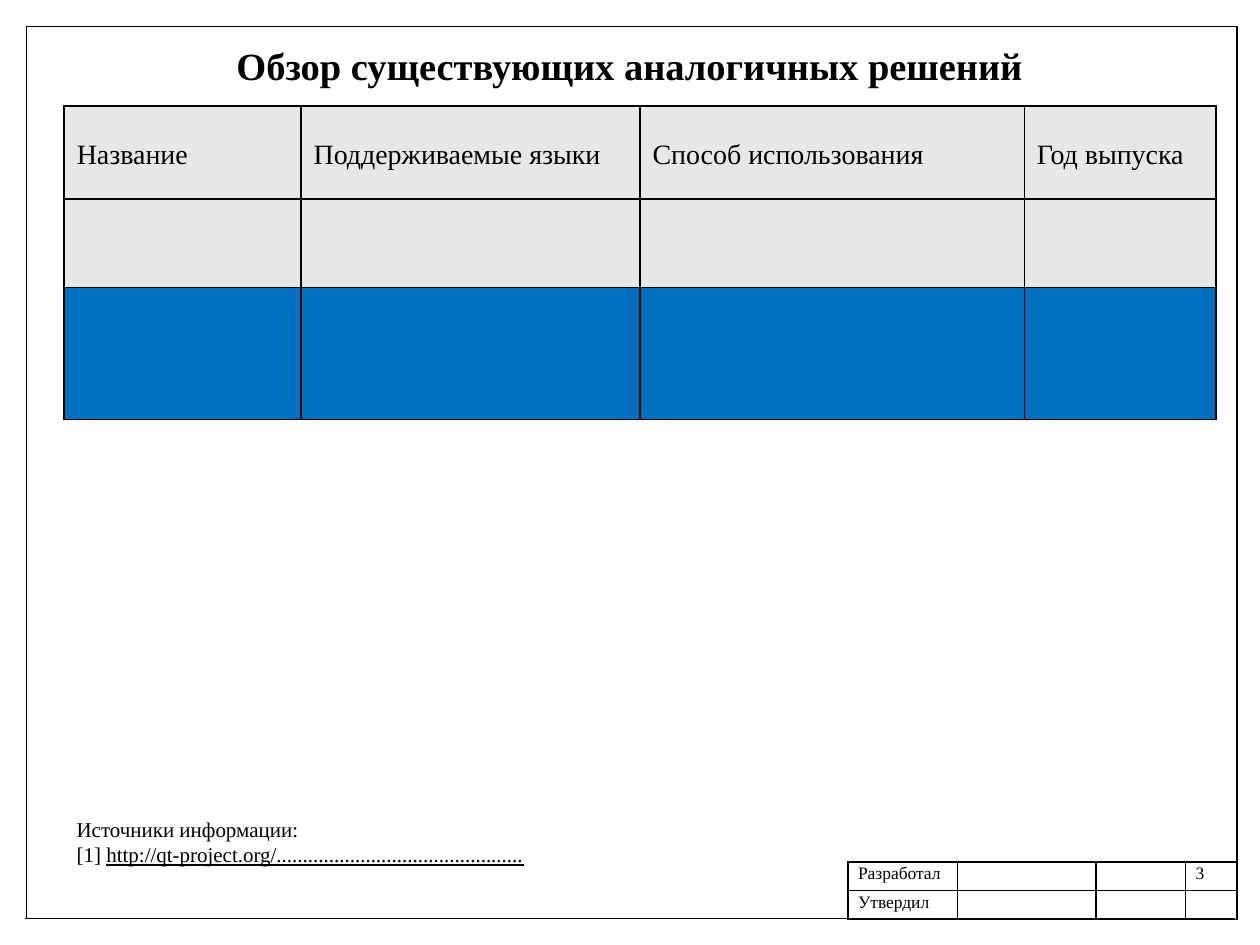
from lxml import etree
from pptx import Presentation
from pptx.dml.color import RGBColor
from pptx.enum.shapes import MSO_CONNECTOR
from pptx.enum.text import MSO_ANCHOR, PP_ALIGN
from pptx.oxml.ns import qn
from pptx.util import Inches, Pt

STRAIGHT = MSO_CONNECTOR.STRAIGHT
MIDDLE, TOP = MSO_ANCHOR.MIDDLE, MSO_ANCHOR.TOP
CENTER, LEFT = PP_ALIGN.CENTER, PP_ALIGN.LEFT
FONT, BLACK, GREY, BLUE = "Times New Roman", "000000", "E7E7E7", "0070C0"

TITLE = "Обзор существующих аналогичных решений"
SOURCES = [
    [("Источники информации:", False)],
    [("[1] ", False), ("http://qt-project.org/" + "." * 47, True)],
]
ANALOGUES = [
    ["Название", "Поддерживаемые языки", "Способ использования", "Год выпуска"],
    [""] * 4,
    [""] * 4,
]
STAMP = [["Разработал", "", "", "3"], ["Утвердил", "", "", ""]]
FRAME = [
    (0.21, 0.21, 0.21, 7.29),
    (9.82, 0.21, 9.82, 7.29),
    (0.21, 0.21, 9.82, 0.21),
    (0.2, 7.29, 9.8, 7.29),
]


def color(value):
    return RGBColor.from_string(value)


def write(paragraph, text, size, bold=False, underline=False, align=LEFT, spacing=None):
    paragraph.alignment = align
    if spacing:
        paragraph.line_spacing = spacing
    if not text:
        etree.SubElement(paragraph._p, qn("a:endParaRPr"), sz=str(size * 100))
        return
    run = paragraph.add_run()
    run.text = text
    font = run.font
    font.name, font.size, font.bold, font.underline = FONT, Pt(size), bold, underline
    font.color.rgb = color(BLACK)


def outline(cell):
    props = cell._tc.get_or_add_tcPr()
    for index, side in enumerate(("a:lnL", "a:lnR", "a:lnT", "a:lnB")):
        border = etree.Element(qn(side), w=str(Pt(1)))
        fill = etree.SubElement(border, qn("a:solidFill"))
        etree.SubElement(fill, qn("a:srgbClr"), val=BLACK)
        props.insert(index, border)


def add_grid(rows, left, top, widths, heights, size, fills, anchor, margins, spacing=None):
    grid = slide.shapes.add_table(
        len(rows), len(widths), Inches(left), Inches(top),
        Inches(sum(widths)), Inches(sum(heights))).table
    for column, width in zip(grid.columns, widths):
        column.width = Inches(width)
    for r, (row, height) in enumerate(zip(rows, heights)):
        grid.rows[r].height = Inches(height)
        for c, text in enumerate(row):
            cell = grid.cell(r, c)
            (cell.margin_left, cell.margin_top,
             cell.margin_right, cell.margin_bottom) = map(Inches, margins)
            cell.vertical_anchor = anchor
            if fills[r]:
                cell.fill.solid()
                cell.fill.fore_color.rgb = color(fills[r])
            else:
                cell.fill.background()
            outline(cell)
            write(cell.text_frame.paragraphs[0], text, size, spacing=spacing)


deck = Presentation()
deck.slide_width, deck.slide_height = Inches(10), Inches(7.5)
slide = deck.slides.add_slide(deck.slide_layouts[5])

heading = slide.shapes.title
heading.left, heading.top, heading.width, heading.height = map(Inches, (0.27, 0.28, 9.45, 0.47))
heading.text_frame.vertical_anchor = TOP
write(heading.text_frame.paragraphs[0], TITLE, 22, bold=True, align=CENTER)

for ends in FRAME:
    edge = slide.shapes.add_connector(STRAIGHT, *map(Inches, ends))
    edge.line.color.rgb = color(BLACK)
    edge.line.width = Pt(1)
    etree.SubElement(edge._element.spPr, qn("a:effectLst"))

add_grid(STAMP, 6.73, 6.84, [0.87, 1.1, 0.71, 0.41], [0.21, 0.21], 10,
         [None, None], TOP, (0.08, 0.02, 0.08, 0.04))

sources = slide.shapes.add_textbox(*map(Inches, (0.51, 6.43, 4.88, 0.5))).text_frame
sources.word_wrap = True
for index, parts in enumerate(SOURCES):
    paragraph = sources.add_paragraph() if index else sources.paragraphs[0]
    for text, underline in parts:
        write(paragraph, text, 12, underline=underline)

add_grid(ANALOGUES, 0.51, 0.84, [1.88, 2.69, 3.05, 1.52], [0.74, 0.7, 1.05], 16,
         [GREY, GREY, BLUE], MIDDLE, (0.1, 0.05, 0.1, 0.05), spacing=1.15)

deck.save("out.pptx")
